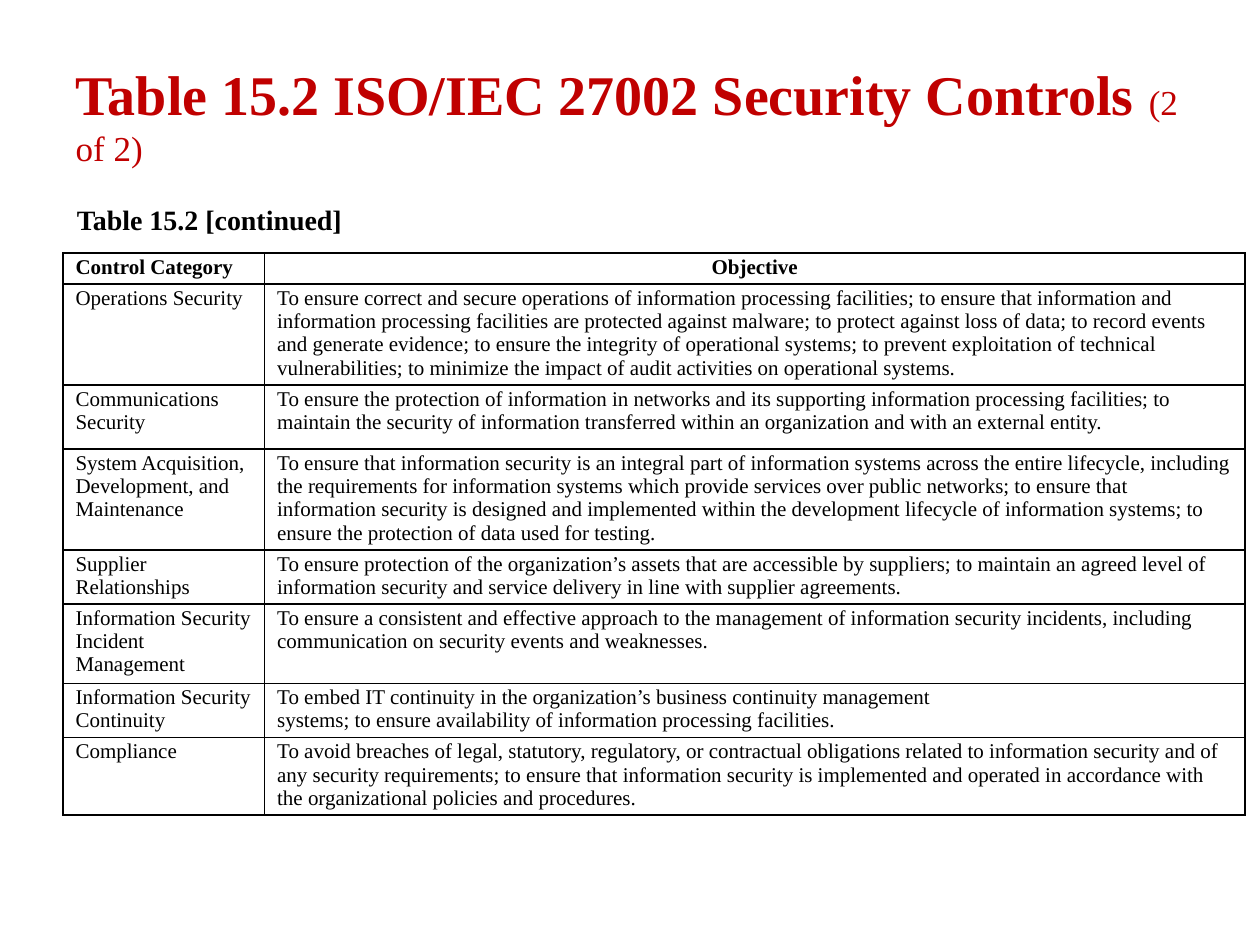
from lxml import etree
from pptx import Presentation
from pptx.dml.color import RGBColor
from pptx.enum.text import MSO_ANCHOR, MSO_AUTO_SIZE, PP_ALIGN
from pptx.oxml.ns import qn
from pptx.util import Inches, Pt

LEFT, CENTER = PP_ALIGN.LEFT, PP_ALIGN.CENTER
TOP, MIDDLE, BOTTOM = MSO_ANCHOR.TOP, MSO_ANCHOR.MIDDLE, MSO_ANCHOR.BOTTOM
NO_FIT = MSO_AUTO_SIZE.NONE

COLORS = {"title": "C00000", "text": "000000", "line": "000000"}
FACE = "Times New Roman"
WIDTHS = [1.6, 7.78]
HEIGHTS = [0.24, 0.79, 0.51, 0.8, 0.43, 0.63, 0.43, 0.61]
ROWS = [
    ("Control Category", "Objective"),
    ("Operations Security",
     "To ensure correct and secure operations of information processing "
     "facilities; to ensure that information and information processing "
     "facilities are protected against malware; to protect against loss of "
     "data; to record events and generate evidence; to ensure the integrity "
     "of operational systems; to prevent exploitation of technical "
     "vulnerabilities; to minimize the impact of audit activities on "
     "operational systems."),
    ("Communications Security",
     "To ensure the protection of information in networks and its supporting "
     "information processing facilities; to maintain the security of "
     "information transferred within an organization and with an external "
     "entity."),
    ("System Acquisition, Development, and Maintenance",
     "To ensure that information security is an integral part of information "
     "systems across the entire lifecycle, including the requirements for "
     "information systems which provide services over public networks; to "
     "ensure that information security is designed and implemented within "
     "the development lifecycle of information systems; to ensure the "
     "protection of data used for testing."),
    ("Supplier Relationships",
     "To ensure protection of the organization’s assets that are accessible "
     "by suppliers; to maintain an agreed level of information security and "
     "service delivery in line with supplier agreements."),
    ("Information Security Incident Management",
     "To ensure a consistent and effective approach to the management of "
     "information security incidents, including communication on security "
     "events and weaknesses."),
    ("Information Security Continuity",
     "To embed IT continuity in the organization’s business continuity "
     "management\n"
     "systems; to ensure availability of information processing facilities."),
    ("Compliance",
     "To avoid breaches of legal, statutory, regulatory, or contractual "
     "obligations related to information security and of any security "
     "requirements; to ensure that information security is implemented and "
     "operated in accordance with the organizational policies and "
     "procedures."),
]


def style(font, size, color, bold):
    font.name = FACE
    font.size = Pt(size)
    font.bold = bold
    font.color.rgb = RGBColor.from_string(COLORS[color])


def place(shape, left, top, width, height):
    shape.left, shape.top = Inches(left), Inches(top)
    shape.width, shape.height = Inches(width), Inches(height)


def inset(item, left, top, right, bottom):
    item.margin_left, item.margin_top = Inches(left), Inches(top)
    item.margin_right, item.margin_bottom = Inches(right), Inches(bottom)


def add_title(slide):
    title = slide.shapes.title
    place(title, 0.5, 0.24, 9, 1.2)
    frame = title.text_frame
    frame.auto_size = NO_FIT
    frame.vertical_anchor = BOTTOM
    inset(frame, 0.1, 0.1, 0.1, 0.1)
    para = frame.paragraphs[0]
    para.alignment = LEFT
    parts = [("Table 15.2 ISO/IEC 27002 Security Controls ", 32, True),
             ("(2 of 2)", 20, False)]
    for text, size, bold in parts:
        run = para.add_run()
        run.text = text
        style(run.font, size, "title", bold)


def add_label(slide):
    label = slide.placeholders[1]
    place(label, 0.51, 1.61, 2.59, 0.32)
    frame = label.text_frame
    frame.auto_size = NO_FIT
    frame.vertical_anchor = TOP
    inset(frame, 0.1, 0, 0, 0)
    para = frame.paragraphs[0]
    para.text = "Table 15.2 [continued]"
    para.alignment = LEFT
    para.space_before = Pt(0)
    props = para._p.get_or_add_pPr()
    props.set("marL", "0")
    props.set("indent", "0")
    etree.SubElement(props, qn("a:buNone"))
    style(para.font, 16, "text", True)


def add_edges(cell):
    props = cell._tc.get_or_add_tcPr()
    for side in ("lnL", "lnR", "lnT", "lnB"):
        line = etree.SubElement(props, qn("a:" + side), w=str(Pt(1)))
        fill = etree.SubElement(line, qn("a:solidFill"))
        etree.SubElement(fill, qn("a:srgbClr"), val=COLORS["line"])


def fill_cell(cell, text, head, align):
    cell.text = text
    cell.vertical_anchor = MIDDLE if head else TOP
    inset(cell, 0.1, 0.02, 0.1, 0.04)
    add_edges(cell)
    cell.fill.background()
    for para in cell.text_frame.paragraphs:
        para.alignment = align
        style(para.font, 12, "text", head)


def add_grid(slide):
    frame = slide.shapes.add_table(
        len(ROWS), len(WIDTHS), Inches(0.5), Inches(2.01),
        Inches(sum(WIDTHS)), Inches(sum(HEIGHTS)))
    table = frame.table
    table.first_row = False
    table.horz_banding = False
    for col, width in zip(table.columns, WIDTHS):
        col.width = Inches(width)
    for r, (row, height) in enumerate(zip(ROWS, HEIGHTS)):
        table.rows[r].height = Inches(height)
        for c, text in enumerate(row):
            head = r == 0
            align = CENTER if head and c == 1 else LEFT
            fill_cell(table.cell(r, c), text, head, align)


def main():
    deck = Presentation()
    deck.slide_width, deck.slide_height = Inches(10), Inches(7.5)
    slide = deck.slides.add_slide(deck.slide_layouts[1])
    add_title(slide)
    add_label(slide)
    add_grid(slide)
    deck.save("out.pptx")


if __name__ == "__main__":
    main()
